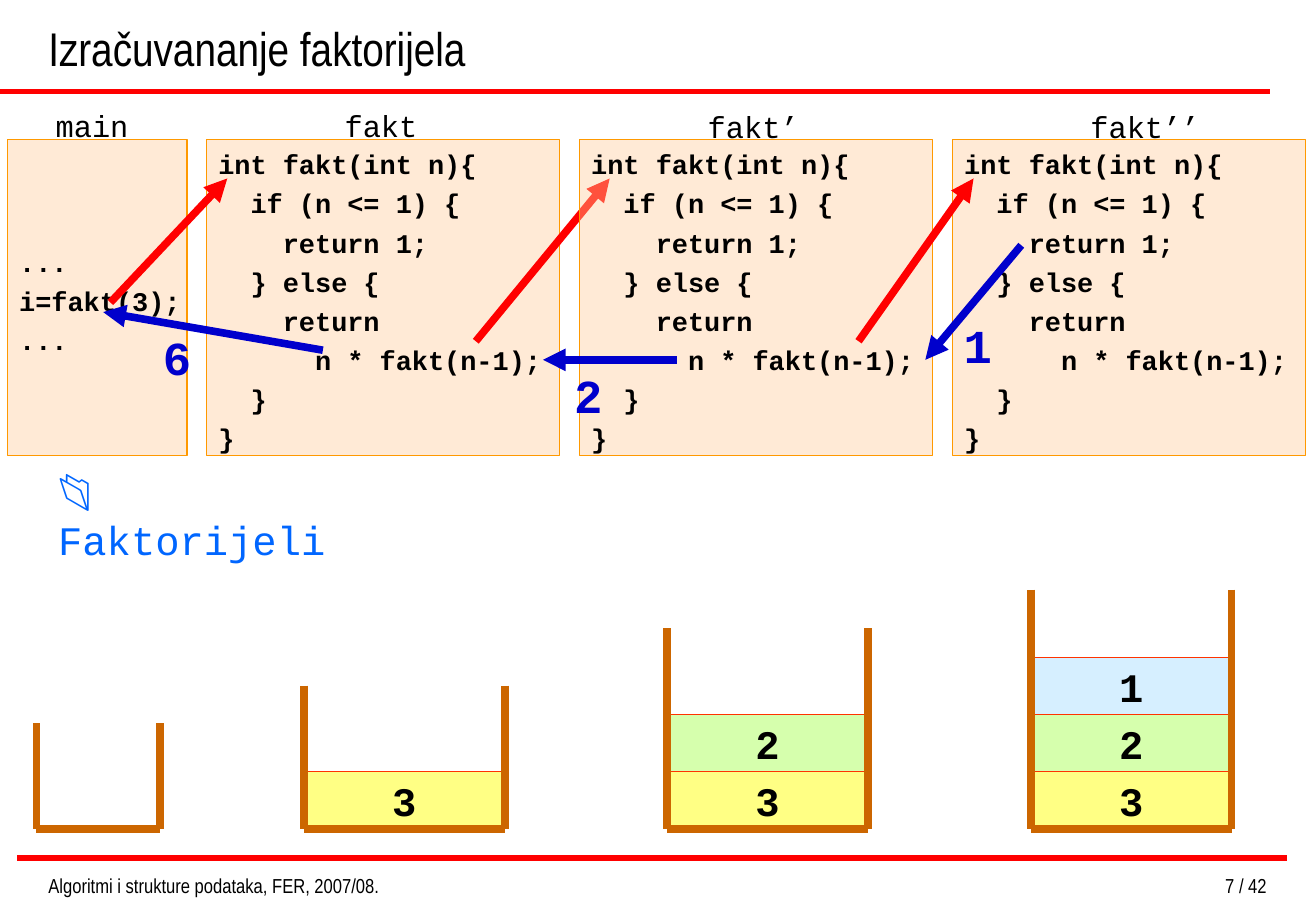
import dataclasses

import lxml.etree
import pptx
import pptx.dml.color
import pptx.enum.shapes
import pptx.enum.text
import pptx.oxml.ns
import pptx.util

Pt = pptx.util.Pt
ALIGN = pptx.enum.text.PP_ALIGN
ANCHOR = pptx.enum.text.MSO_ANCHOR
STRAIGHT = pptx.enum.shapes.MSO_CONNECTOR.STRAIGHT
RECTANGLE = pptx.enum.shapes.MSO_SHAPE.RECTANGLE


@dataclasses.dataclass(frozen=True)
class Theme:
    sans: str = "Arial"
    narrow: str = "Arial Narrow"
    mono: str = "Courier New"
    ink: str = "000000"
    call: str = "FF0000"
    result: str = "0000CC"
    link: str = "0066FF"
    code_fill: str = "FFCC99"
    code_edge: str = "FF9900"
    stack_wall: str = "CC6600"
    block_edge: str = "FF3300"
    block_fills: tuple = ("FFFF66", "CCFF99", "CCECFF")
    title_size: float = 28
    block_size: float = 24
    label_size: float = 18
    code_size: float = 16
    footer_size: float = 12
    rule_width: float = 3
    thick: float = 4.5
    thin: float = 0.75


def rgb(value):
    return pptx.dml.color.RGBColor.from_string(value)


def add_xml(parent, tag, **attributes):
    return lxml.etree.SubElement(parent, pptx.oxml.ns.qn(tag), attributes)


def add_run(paragraph, text, font, size, color, bold=False):
    run = paragraph.add_run()
    run.text = text
    run.font.name = font
    run.font.size = Pt(size)
    run.font.bold = bold
    run.font.color.rgb = rgb(color)


def write(frame, text, *, font, size, color, bold=False, align=ALIGN.LEFT,
          anchor=ANCHOR.TOP, wrap=False, gap=0):
    """Fill a text frame, one paragraph per line, with gap points between them."""
    frame.word_wrap = wrap
    frame.vertical_anchor = anchor
    for index, line in enumerate(text.split("\n")):
        paragraph = frame.add_paragraph() if index else frame.paragraphs[0]
        paragraph.alignment = align
        if index:
            paragraph.space_before = Pt(gap)
        add_run(paragraph, line, font, size, color, bold)


class FactorialSlide:
    def __init__(self, slide, theme):
        self.shapes = slide.shapes
        self.theme = theme

    def text(self, text, left, top, width, height, **style):
        box = self.shapes.add_textbox(Pt(left), Pt(top), Pt(width), Pt(height))
        write(box.text_frame, text, **style)
        return box.text_frame

    def line(self, start, end, color, width, arrow=False, shapes=None):
        shapes = self.shapes if shapes is None else shapes
        connector = shapes.add_connector(
            STRAIGHT, Pt(start[0]), Pt(start[1]), Pt(end[0]), Pt(end[1]))
        connector.line.color.rgb = rgb(color)
        connector.line.width = Pt(width)
        if arrow:
            add_xml(connector.line._get_or_add_ln(), "a:tailEnd", type="triangle")
        add_xml(connector._element.spPr, "a:effectLst")

    def arrow(self, start, end, color):
        self.line(start, end, color, self.theme.thick, arrow=True)

    def panel(self, text, left, top, width, height, fill, opacity, edge, **style):
        """Rectangle with a see-through fill; opacity is in percent."""
        panel = self.shapes.add_shape(RECTANGLE, Pt(left), Pt(top), Pt(width), Pt(height))
        panel.shadow.inherit = False
        panel.fill.solid()
        panel.fill.fore_color.rgb = rgb(fill)
        color = panel._element.spPr.find(".//" + pptx.oxml.ns.qn("a:srgbClr"))
        add_xml(color, "a:alpha", val=str(opacity * 1000))
        panel.line.color.rgb = rgb(edge)
        panel.line.width = Pt(self.theme.thin)
        write(panel.text_frame, text, font=self.theme.mono, color=self.theme.ink,
              bold=True, anchor=ANCHOR.MIDDLE, **style)
        return panel.text_frame

    def code(self, source, left, width):
        frame = self.panel(source, left, 82.8, width, 187.2, self.theme.code_fill, 40,
                           self.theme.code_edge, size=self.theme.code_size, gap=4)
        frame.margin_top = Pt(7.6)

    def label(self, name, left, top, width):
        self.text(name, left, top, width, 28.8, font=self.theme.mono,
                  size=self.theme.label_size, color=self.theme.ink)

    def returned(self, value, left, top):
        self.text(value, left, top, 31, 41, font=self.theme.mono, bold=True,
                  size=self.theme.title_size, color=self.theme.result)

    def stack(self, values, left, top, width):
        """Open container with the values piled up from its floor."""
        floor, block = 491.3, 33.8
        right = left + width
        for level, (value, fill) in enumerate(zip(values, self.theme.block_fills), 1):
            self.panel(value, left, floor - level * block, width, block, fill, 80,
                       self.theme.block_edge, size=self.theme.block_size,
                       align=ALIGN.CENTER)
        walls = self.shapes.add_group_shape().shapes
        for start, end in (((left, top), (left, floor)),
                           ((right, top), (right, floor)),
                           ((left, floor), (right, floor))):
            self.line(start, end, self.theme.stack_wall, self.theme.thick, shapes=walls)


MAIN_CODE = "...\ni=fakt(3);\n..."
FAKT_CODE = """int fakt(int n){
  if (n <= 1) {
    return 1;
  } else {
    return
      n * fakt(n-1);
  }
}"""


def main():
    presentation = pptx.Presentation()
    presentation.slide_width = Pt(780.48)
    presentation.slide_height = Pt(540)
    theme = Theme()
    page = FactorialSlide(
        presentation.slides.add_slide(presentation.slide_layouts[6]), theme)

    page.line((0, 54.4), (753.1, 54.4), theme.call, theme.rule_width)
    page.line((10.1, 508.6), (763.2, 508.6), theme.call, theme.rule_width)
    page.text("Izračuvananje faktorijela", 21.6, 0, 731.5, 48.6, font=theme.narrow,
              size=theme.title_size, color=theme.ink, anchor=ANCHOR.BOTTOM, wrap=True)

    fakt_lefts = [122.4 + 221.2 * depth for depth in range(3)]
    page.code(MAIN_CODE, 4.3, 106.6)
    page.code(FAKT_CODE, fakt_lefts[0], 209.7)
    page.arrow((65.5, 179.3), (134.8, 105.8), theme.call)
    page.arrow((282.2, 202.3), (361.6, 105.8), theme.call)
    for left in fakt_lefts[1:]:
        page.code(FAKT_CODE, left, 209.7)

    for name, left, top, width in (("main", 25.9, 59.8, 57.6),
                                   ("fakt", 197.3, 59.8, 57.6),
                                   ("fakt’", 412.6, 60.5, 68.4),
                                   ("fakt’’", 639.6, 60.5, 79.2)):
        page.label(name, left, top, width)

    example = page.text("📂", 27.4, 270.3, 195.8, 37.4, font=theme.sans,
                        size=theme.block_size, color=theme.link).paragraphs[0]
    example.line_spacing = 1.05
    example.add_line_break()
    add_run(example, "Faktorijeli", theme.mono, theme.block_size, theme.link)

    for values, left, top, width in (("", 21.6, 428.7, 73.4),
                                     ("3", 180.2, 406.4, 119.2),
                                     ("32", 395.6, 372.5, 119.2),
                                     ("321", 611.3, 349.5, 119.2)):
        page.stack(values, left, top, width)

    page.arrow((509.2, 202.3), (577.4, 105.8), theme.call)
    for start, end in (((605.7, 145.4), (548.8, 213.3)),
                       ((401.3, 213.3), (322, 213.3)),
                       ((191.5, 207.6), (61.2, 185))):
        page.arrow(start, end, theme.result)
    for value, left, top in (("1", 564.5, 183.8), ("2", 333.4, 213.4), ("6", 89.6, 191.1)):
        page.returned(value, left, top)

    for text, left, width, align in (
            ("Algoritmi i strukture podataka, FER, 2007/08.", 21.6, 272.2, ALIGN.LEFT),
            ("7 / 42", 559, 199.4, ALIGN.RIGHT)):
        page.text(text, left, 514.4, width, 17.3, font=theme.narrow, wrap=True,
                  size=theme.footer_size, color=theme.ink, align=align)

    presentation.save("out.pptx")


if __name__ == "__main__":
    main()
